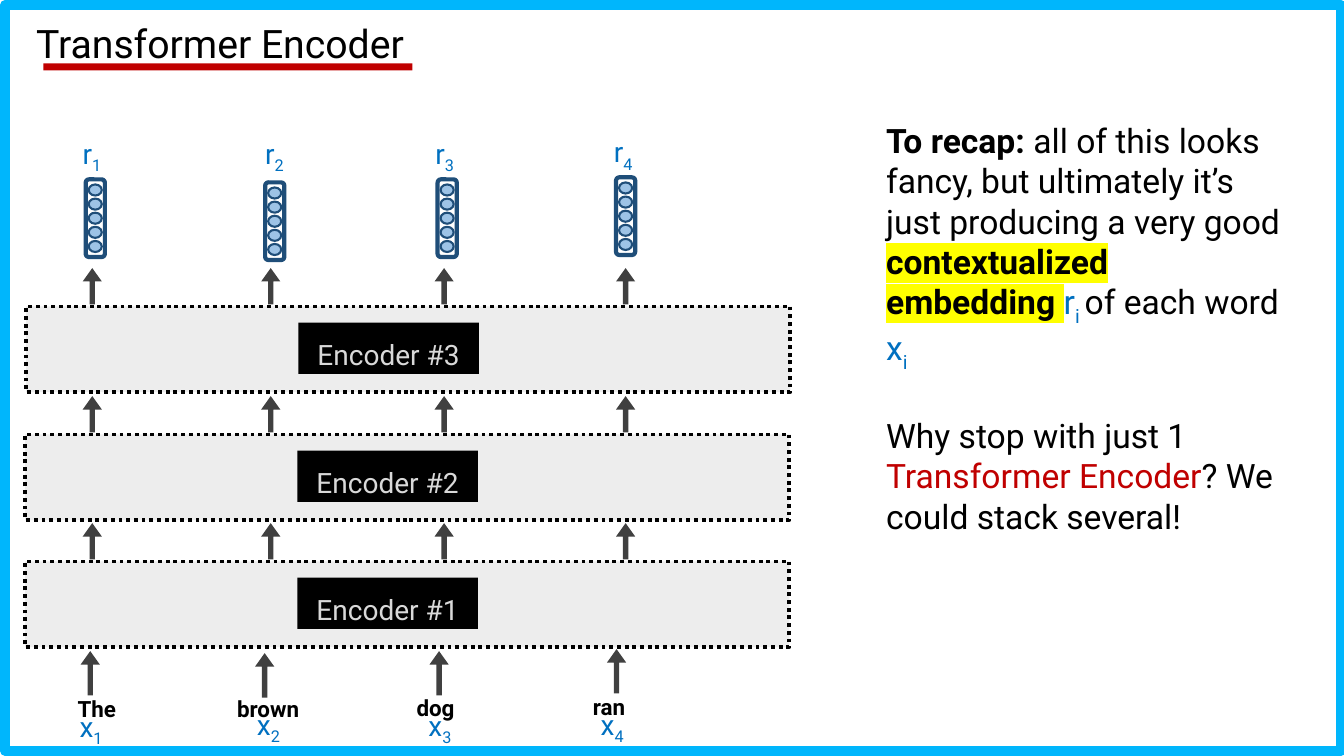
from pptx import Presentation
from pptx.dml.color import RGBColor
from pptx.enum.dml import MSO_LINE
from pptx.enum.shapes import MSO_SHAPE as SHAPE
from pptx.enum.text import MSO_ANCHOR as ANCHOR, PP_ALIGN as ALIGN
from pptx.oxml.ns import qn
from pptx.util import Pt
from lxml.etree import SubElement

PX = 9144
COLORS = {
    "black": "000000", "white": "FFFFFF", "frame": "00B6FC", "red": "C00000",
    "blue": "0070C0", "navy": "1F4E79", "sky": "9DC3E6", "panel": "EDEDED",
    "arrow": "404040", "label": "D9D9D9", "marker": "FFFF00",
}
TOKENS = [
    dict(word="The", word_at=(48, 679, 77), align=ALIGN.RIGHT, x_at=(69, 699),
         r_at=(72, 131), vector_at=(85, 178), stack_x=82, input_at=(80, 646)),
    dict(word="brown", word_at=(198, 679, 136), align=ALIGN.CENTER, x_at=(245, 697),
         r_at=(253, 131), vector_at=(263, 181), stack_x=259, input_at=(253, 648)),
    dict(word="dog", word_at=(364, 678, 136), align=ALIGN.CENTER, x_at=(415, 698),
         r_at=(422, 131), vector_at=(434, 178), stack_x=431, input_at=(426, 646)),
    dict(word="ran", word_at=(536, 677, 136), align=ALIGN.CENTER, x_at=(586, 697),
         r_at=(599, 129), vector_at=(611, 176), stack_x=611, input_at=(602, 644)),
]
ENCODERS = [("Encoder #1", 25, 557), ("Encoder #2", 25, 431), ("Encoder #3", 26, 304)]


def rgb(name):
    return RGBColor.from_string(COLORS[name])


class Deck:
    font = "Roboto"

    def __init__(self):
        self.prs = Presentation()
        self.prs.slide_width, self.prs.slide_height = 1333 * PX, 750 * PX
        self.s = self.prs.slides.add_slide(self.prs.slide_layouts[6])

    def shape(self, kind, x, y, w, h, fill=None, line=None, weight=1, dash=None, host=None):
        shapes = (host or self.s).shapes
        sp = shapes.add_shape(kind, x * PX, y * PX, w * PX, h * PX)
        sp.shadow.inherit = False
        if fill:
            sp.fill.solid()
            sp.fill.fore_color.rgb = rgb(fill)
        else:
            sp.fill.background()
        if line:
            sp.line.color.rgb = rgb(line)
            sp.line.width = Pt(weight)
            if dash:
                sp.line.dash_style = dash
        else:
            sp.line.fill.background()
        return sp

    def paragraph(self, p, runs, size, color="black", bold=False, align=None, spacing=None):
        p.alignment = align
        p.line_spacing = spacing
        p.font.name, p.font.size = self.font, Pt(size)
        p.font.bold = bold
        p.font.color.rgb = rgb(color)
        for text, style in runs:
            r = p.add_run()
            r.text = text
            if "bold" in style:
                r.font.bold = style["bold"]
            if "color" in style:
                r.font.color.rgb = rgb(style["color"])
            if "marker" in style:
                r.font.color.rgb = rgb(color)
                highlight = SubElement(r.font._element, qn("a:highlight"))
                SubElement(highlight, qn("a:srgbClr")).set("val", COLORS[style["marker"]])
            if "sub" in style:
                r.font._element.set("baseline", "-25000")

    def text(self, x, y, w, h, paragraphs, size, gap=0, **style):
        tf = self.s.shapes.add_textbox(x * PX, y * PX, w * PX, h * PX).text_frame
        tf.word_wrap = True
        for i, runs in enumerate(paragraphs):
            p = tf.add_paragraph() if i else tf.paragraphs[0]
            if i:
                p.space_before = Pt(gap)
            self.paragraph(p, runs, size, **style)

    def symbol(self, x, y, letter, index):
        self.text(x, y, 45, 44, [[(letter, {}), (str(index), {"sub": True})]], 20, color="blue")

    def arrow(self, x, y, h):
        sp = self.shape(SHAPE.UP_ARROW, x, y, 19, h, "arrow")
        sp.adjustments[0], sp.adjustments[1] = 0.28, 0.7

    def vector(self, x, y):
        group = self.s.shapes.add_group_shape()
        self.shape(SHAPE.ROUNDED_RECTANGLE, x, y, 19, 77, line="navy", weight=3, host=group)
        for i in range(5):
            self.shape(SHAPE.OVAL, x + 3, y + 5 + 14 * i, 13, 11, "sky", "navy", 1.5, host=group)

    def encoder(self, name, x, y):
        self.shape(SHAPE.RECTANGLE, x, y, 758, 85, "panel", "black", 2.75, MSO_LINE.ROUND_DOT)
        tf = self.shape(SHAPE.RECTANGLE, x + 270, y + 16, 179, 51, "black").text_frame
        tf.margin_top = 10 * PX
        tf.vertical_anchor = ANCHOR.MIDDLE
        self.paragraph(tf.paragraphs[0], [(name, {"color": "label"})], 20, "label",
                       align=ALIGN.CENTER, spacing=1.2)


def main():
    deck = Deck()
    deck.shape(SHAPE.RECTANGLE, 5, 5, 1325, 740, "white", "frame", 7)
    deck.shape(SHAPE.RECTANGLE, 43, 63, 366, 7, "red")
    deck.text(26, 19, 965, 68, [[("Transformer Encoder", {})]], 28, spacing=0.9)

    for name, x, y in ENCODERS:
        deck.encoder(name, x, y)
    for i, token in enumerate(TOKENS, 1):
        deck.arrow(*token["input_at"], 44)
        deck.text(*token["word_at"], 55, [[(token["word"], {})]], 16, bold=True,
                  align=token["align"], spacing=1.2)
        deck.symbol(*token["x_at"], "x", i)
        for _, _, y in ENCODERS:
            deck.arrow(token["stack_x"], y - 38, 36)
        deck.vector(*token["vector_at"])
        deck.symbol(*token["r_at"], "r", i)

    blue, blue_sub = {"color": "blue"}, {"color": "blue", "sub": True}
    recap = [
        ("To recap: ", {"bold": True}),
        ("all of this looks fancy, but ultimately it’s just producing a very good ", {}),
        ("contextualized embedding ", {"bold": True, "marker": "marker"}),
        ("r", blue), ("i ", blue_sub), ("of each word ", {}), ("x", blue), ("i", blue_sub),
    ]
    question = [
        ("Why stop with just 1 ", {}),
        ("Transformer Encoder", {"color": "red"}),
        ("? We could stack several!", {}),
    ]
    deck.text(869, 114, 411, 416, [recap, question], 24, gap=30)
    deck.prs.save("out.pptx")


if __name__ == "__main__":
    main()
